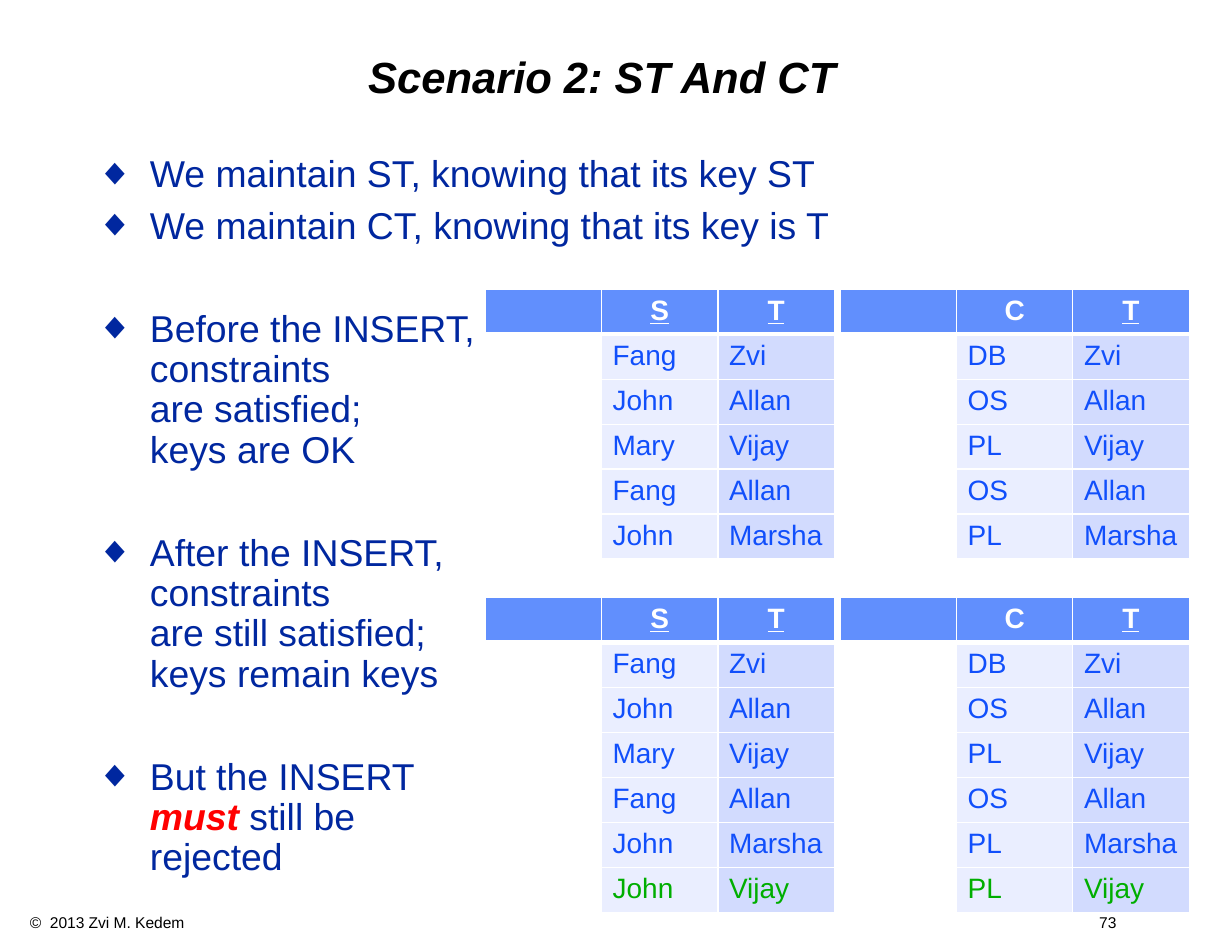
from lxml import etree
from pptx import Presentation
from pptx.dml.color import RGBColor
from pptx.enum.text import MSO_ANCHOR, PP_ALIGN
from pptx.oxml.ns import qn
from pptx.util import Cm, Pt

CENTER = PP_ALIGN.CENTER
TOP, MIDDLE = MSO_ANCHOR.TOP, MSO_ANCHOR.MIDDLE

BLACK, WHITE, NAVY, RED = "000000", "FFFFFF", "00279F", "FF0000"
HEAD, BLUE, GREEN = "618FFD", "114FFB", "00AE00"
FILLS = (WHITE, "EAEEFF", "D2DBFE")


def color(code):
    return RGBColor.from_string(code)


def node(parent, tag, **attrs):
    return etree.SubElement(parent, qn(tag), {k: str(v) for k, v in attrs.items()})


class Deck:
    font = "Arial"
    leading = 0.9

    def __init__(self, width, height):
        self.prs = Presentation()
        self.prs.slide_width, self.prs.slide_height = Cm(width), Cm(height)
        self.slide = self.prs.slides.add_slide(self.prs.slide_layouts[6])

    def style(self, run, size, code, bold=False, italic=False, under=False):
        font = run.font
        font.name, font.size = self.font, Pt(size)
        font.bold, font.italic, font.underline = bold, italic, under
        font.color.rgb = color(code)

    def frame(self, left, top, width, height, anchor=TOP):
        box = self.slide.shapes.add_textbox(Cm(left), Cm(top), Cm(width), Cm(height))
        frame = box.text_frame
        frame.word_wrap = True
        frame.vertical_anchor = anchor
        frame.margin_left = frame.margin_right = Cm(0.28)
        frame.margin_top = frame.margin_bottom = Cm(0.16)
        return frame

    def title(self, text, *place):
        frame = self.frame(*place, MIDDLE)
        frame.text = text
        para = frame.paragraphs[0]
        para.alignment, para.line_spacing = CENTER, self.leading
        self.style(para.runs[0], 28, BLACK, bold=True, italic=True)

    def bullets(self, items, *place):
        """Items are (space before, text); *stars* mark stressed words."""
        frame = self.frame(*place)
        for i, (space, text) in enumerate(items):
            para = frame.add_paragraph() if i else frame.paragraphs[0]
            para.line_spacing, para.space_before = self.leading, Pt(space)
            props = para._p.get_or_add_pPr()
            props.set("marL", str(Cm(1.22)))
            props.set("indent", str(-Cm(1.22)))
            node(node(props, "a:buClr"), "a:srgbClr", val=NAVY)
            node(props, "a:buFont", typeface=self.font)
            node(props, "a:buChar", char="◆")
            for j, line in enumerate(text.split("\n")):
                if j:
                    para.add_line_break()
                for k, part in enumerate(line.split("*")):
                    if part:
                        run = para.add_run()
                        run.text = part
                        loud = k % 2 == 1
                        self.style(run, 24, RED if loud else NAVY, loud, loud)

    def footer(self, text, tab, *place):
        frame = self.frame(*place)
        frame.margin_left = Cm(0.25)
        frame.margin_top = frame.margin_bottom = Cm(0.13)
        frame.text = text
        para = frame.paragraphs[0]
        tabs = node(para._p.get_or_add_pPr(), "a:tabLst")
        node(tabs, "a:tab", pos=Cm(tab), algn="l")
        for run in para.runs:
            self.style(run, 10, BLACK)

    def edges(self, cell, row):
        props = cell._tc.get_or_add_tcPr()
        thick = {"T": row == 1, "B": row == 0}
        for side in "LRTB":
            width = Pt(3 if thick.get(side) else 1)
            line = node(props, f"a:ln{side}", w=width)
            node(node(line, "a:solidFill"), "a:srgbClr", val=WHITE)

    def table(self, left, top, heads, keys, rows, extra=None):
        """Draw a relation with underlined keys; extra is the inserted row."""
        data = [heads, *rows] + ([extra] if extra else [])
        heights = [0.98 if r == 3 else 1.02 for r in range(len(data))]
        width = 2.64
        grid = self.slide.shapes.add_table(
            len(data), 3, Cm(left), Cm(top), Cm(3 * width), Cm(sum(heights))).table
        for col in grid.columns:
            col.width = Cm(width)
        for r, values in enumerate(data):
            grid.rows[r].height = Cm(heights[r])
            for c, text in enumerate(("", *values)):
                cell = grid.cell(r, c)
                self.edges(cell, r)
                cell.fill.solid()
                cell.fill.fore_color.rgb = color(FILLS[c] if r else HEAD)
                para = cell.text_frame.paragraphs[0]
                if not text:
                    # Keep empty cells from stretching the row
                    end = node(para._p, "a:endParaRPr", sz=1800)
                    node(end, "a:latin", typeface=self.font)
                    continue
                para.text = text
                run = para.runs[0]
                if r == 0:
                    para.alignment = CENTER
                    self.style(run, 18, WHITE, bold=True, under=text in keys)
                else:
                    self.style(run, 18, GREEN if values is extra else BLUE)


def main():
    deck = Deck(27.94, 21.59)

    # Footer, title and bullets
    deck.footer("©  2013 Zvi M. Kedem\t73", 24.25, 0.43, 20.57, 26.26, 0.69)
    deck.title("Scenario 2: ST And CT", 1.9, 0.64, 23.5, 2.34)
    near, far = 7.2, 40.3
    deck.bullets([
        (near, "We maintain ST, knowing that its key ST"),
        (near, "We maintain CT, knowing that its key is T"),
        (far, "Before the INSERT,\nconstraints\nare satisfied;\nkeys are OK"),
        (far, "After the INSERT,\nconstraints\nare still satisfied;\nkeys remain keys"),
        (far, "But the INSERT\n*must* still be\nrejected"),
    ], 1.9, 3.37, 23.7, 16.93)

    # Relations before and after the insert
    staff = ["Zvi", "Allan", "Vijay", "Allan", "Marsha"]
    names = ["Fang", "John", "Mary", "Fang", "John"]
    topics = ["DB", "OS", "PL", "OS", "PL"]
    relations = [
        (11, "ST", "ST", names, ("John", "Vijay")),
        (19.05, "CT", "T", topics, ("PL", "Vijay")),
    ]
    for left, heads, keys, firsts, extra in relations:
        rows = list(zip(firsts, staff))
        deck.table(left, 6.56, heads, keys, rows)
        deck.table(left, 13.55, heads, keys, rows, extra)

    deck.prs.save("out.pptx")


if __name__ == "__main__":
    main()
